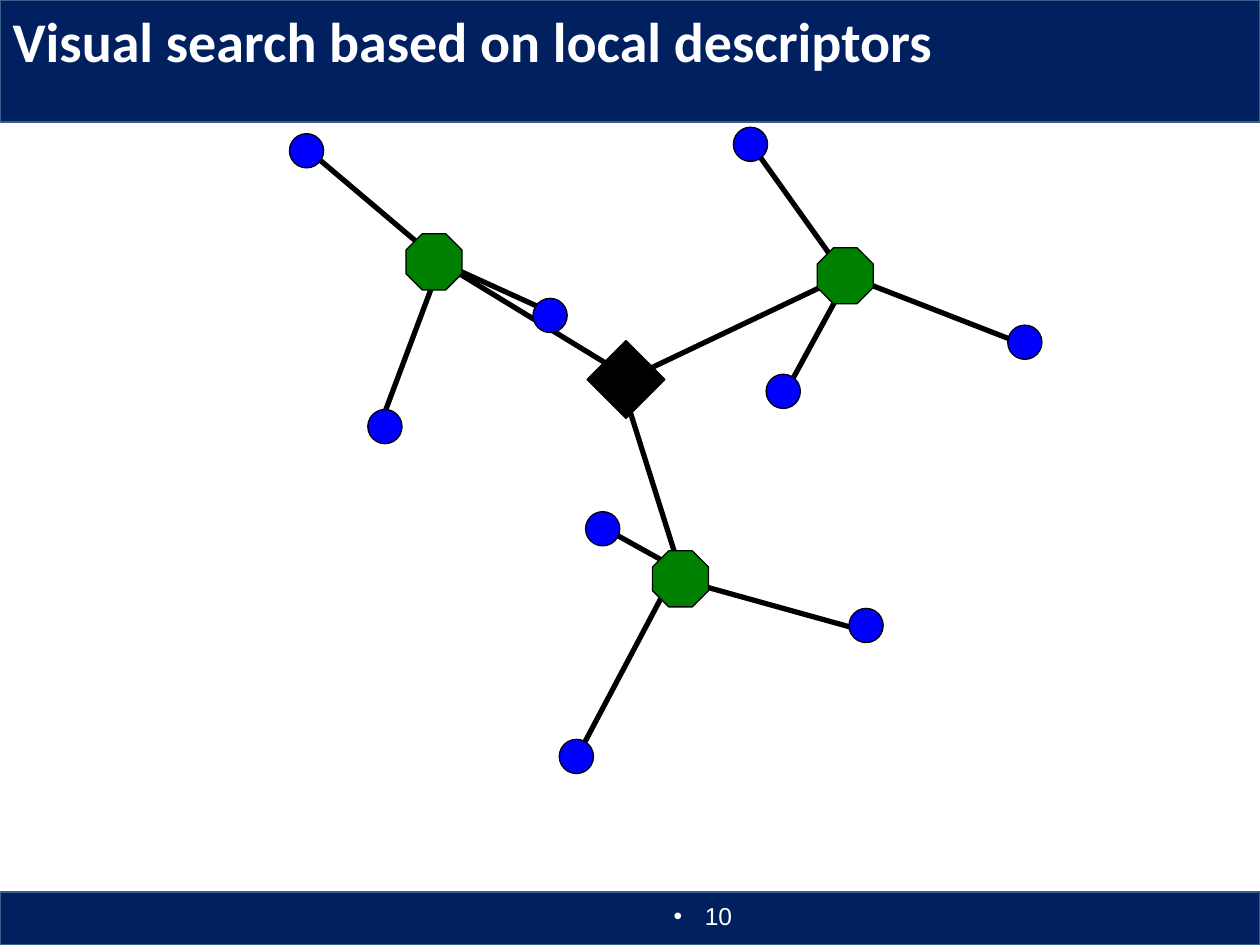
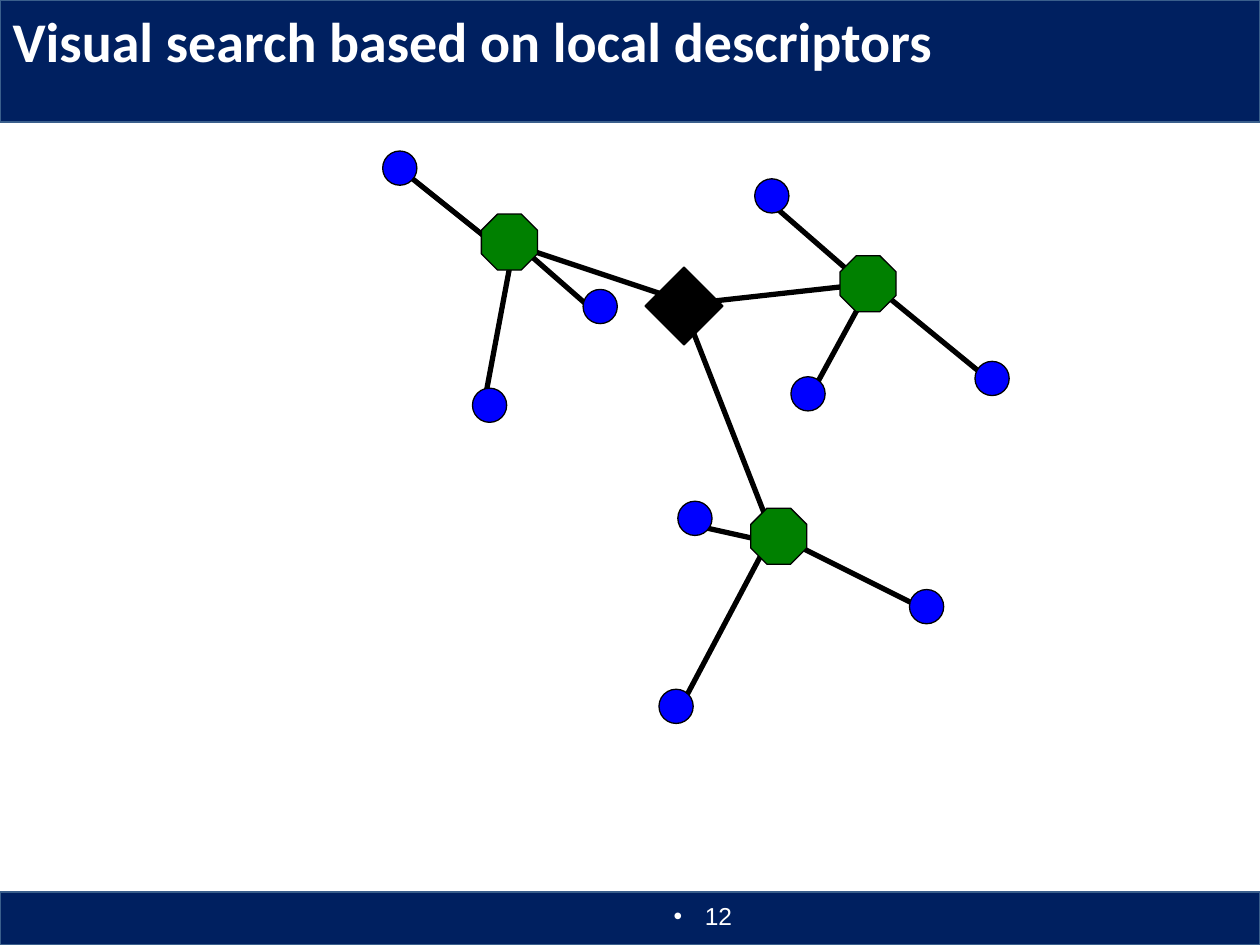
from dataclasses import dataclass

from lxml import etree
from pptx import Presentation
from pptx.dml.color import RGBColor
from pptx.enum.shapes import MSO_CONNECTOR, MSO_SHAPE
from pptx.enum.text import MSO_ANCHOR, PP_ALIGN
from pptx.oxml.ns import qn
from pptx.util import Cm, Pt

NAVY = RGBColor(0x00, 0x20, 0x60)
BAND_EDGE = RGBColor(0x3A, 0x5F, 0x8C)
WHITE = RGBColor(0xFF, 0xFF, 0xFF)
BLACK = RGBColor(0x00, 0x00, 0x00)
BLUE = RGBColor(0x00, 0x00, 0xFF)
GREEN = RGBColor(0x00, 0x80, 0x00)

RECTANGLE = MSO_SHAPE.RECTANGLE
DIAMOND = MSO_SHAPE.DIAMOND
OCTAGON = MSO_SHAPE.OCTAGON
CIRCLE = MSO_SHAPE.FLOWCHART_CONNECTOR
STRAIGHT = MSO_CONNECTOR.STRAIGHT
TOP = MSO_ANCHOR.TOP
LEFT, RIGHT = PP_ALIGN.LEFT, PP_ALIGN.RIGHT

TITLE_ONLY = 5
TITLE = "Visual search based on local descriptors"
PAGE_WIDTH, PAGE_HEIGHT = 25.4, 19.05
HEADER_HEIGHT, FOOTER_HEIGHT = 2.46, 1.07
FOOTER_TOP = PAGE_HEIGHT - FOOTER_HEIGHT
LINK_GRID = 2.54 / 12
ROOT_SIZE, HUB_SIZE, LEAF_SIZE = 1.57, 1.13, 0.69


@dataclass
class Tree:
    """Node centres are in cm; links (x1, y1, x2, y2) are in grid steps."""
    number: int
    root: tuple
    hubs: list
    leaves: list
    links: list


TREES = [
    Tree(
        number=10,
        root=(12.62, 7.65),
        hubs=[(13.72, 11.67), (17.04, 5.56), (8.75, 5.28)],
        leaves=[(7.76, 8.6), (12.15, 10.66), (11.62, 15.25),
                (17.46, 12.61), (20.66, 6.9), (11.09, 6.36),
                (6.18, 3.04), (15.13, 2.91), (15.79, 7.89)],
        links=[(71, 13, 81, 27), (81, 26, 75, 37), (80, 26, 98, 33),
               (57, 50, 66, 55), (64, 55, 55, 72), (64, 55, 82, 60),
               (29, 14, 42, 25), (42, 25, 53, 30), (42, 25, 36, 41),
               (42, 25, 60, 36), (81, 26, 60, 36), (65, 55, 59, 36)],
    ),
    Tree(
        number=12,
        root=(13.79, 6.17),
        hubs=[(15.7, 10.81), (17.5, 5.72), (10.27, 4.88)],
        leaves=[(9.87, 8.17), (14.01, 10.45), (13.63, 14.24),
                (18.68, 12.23), (20, 7.63), (12.1, 6.18),
                (8.06, 3.39), (15.56, 3.95), (16.29, 7.94)],
        links=[(73, 19, 84.5, 29), (83, 27, 77, 38), (83, 27, 94, 36),
               (66, 50, 75, 52), (74, 50, 65, 67), (74, 51, 88, 58),
               (48, 23, 66, 29), (49, 23, 57, 30), (49, 23, 46, 39),
               (48, 24, 38, 16), (83, 27, 65, 29), (74, 52, 65, 29)],
    ),
]


def add_filled_shape(slide, kind, box, fill, edge, edge_width):
    shape = slide.shapes.add_shape(kind, *map(Cm, box))
    shape.shadow.inherit = False
    shape.fill.solid()
    shape.fill.fore_color.rgb = fill
    shape.line.color.rgb = edge
    shape.line.width = Pt(edge_width)
    return shape


def move_bands_to_layout(slide):
    """Draw the header and footer bands, then place them behind the layout's content."""
    layout_tree = slide.slide_layout.shapes.element
    bands = [(0, HEADER_HEIGHT), (FOOTER_TOP, FOOTER_HEIGHT)]
    for index, (top, height) in enumerate(bands):
        band = add_filled_shape(slide, RECTANGLE, (0, top, PAGE_WIDTH, height),
                                NAVY, BAND_EDGE, 1)
        band.element.nvSpPr.cNvPr.set("id", str(100 + index))
        layout_tree.insert(2 + index, band.element)


def style_text(paragraph, font_name, size, bold=False):
    for span in paragraph.runs:
        span.font.name = font_name
        span.font.size = Pt(size)
        span.font.bold = bold
        span.font.color.rgb = WHITE


def set_title(slide):
    title = slide.shapes.title
    title.left, title.top = Cm(0), Cm(0)
    title.width, title.height = Cm(22.81), Cm(2.54)
    frame = title.text_frame
    frame.text = TITLE
    frame.vertical_anchor = TOP
    paragraph = frame.paragraphs[0]
    paragraph.alignment = LEFT
    style_text(paragraph, "Calibri", 32, bold=True)


def add_page_number(slide, number):
    box = slide.shapes.add_textbox(Cm(9.09), Cm(FOOTER_TOP), Cm(5.92), Cm(1.02))
    frame = box.text_frame
    frame.word_wrap = True
    frame.margin_top = Cm(0.19)
    frame.text = str(number)
    paragraph = frame.paragraphs[0]
    paragraph.alignment = RIGHT
    properties = paragraph._p.get_or_add_pPr()
    indent = Cm(0.63)
    properties.set("marL", str(indent))
    properties.set("indent", str(-indent))
    etree.SubElement(properties, qn("a:buFont")).set("typeface", "Arial")
    etree.SubElement(properties, qn("a:buChar")).set("char", "•")
    style_text(paragraph, "Arial", 14)


def add_link(slide, link):
    ends = [Cm(step * LINK_GRID) for step in link]
    connector = slide.shapes.add_connector(STRAIGHT, *ends)
    connector.line.color.rgb = BLACK
    connector.line.width = Pt(3)
    etree.SubElement(connector.element.spPr, qn("a:effectLst"))


def add_node(slide, kind, centre, size, fill):
    x, y = centre
    box = (x - size / 2, y - size / 2, size, size)
    return add_filled_shape(slide, kind, box, fill, BLACK, 0.75)


def add_tree(slide, tree):
    for link in tree.links:
        add_link(slide, link)
    add_node(slide, DIAMOND, tree.root, ROOT_SIZE, BLACK)
    for hub in tree.hubs:
        add_node(slide, OCTAGON, hub, HUB_SIZE, GREEN).adjustments[0] = 0.29
    for leaf in tree.leaves:
        add_node(slide, CIRCLE, leaf, LEAF_SIZE, BLUE)


def main():
    deck = Presentation()
    deck.slide_width, deck.slide_height = Cm(PAGE_WIDTH), Cm(PAGE_HEIGHT)
    layout = deck.slide_layouts[TITLE_ONLY]
    for tree in TREES:
        slide = deck.slides.add_slide(layout)
        set_title(slide)
        add_page_number(slide, tree.number)
        add_tree(slide, tree)
    move_bands_to_layout(deck.slides[0])
    deck.save("out.pptx")


if __name__ == "__main__":
    main()
